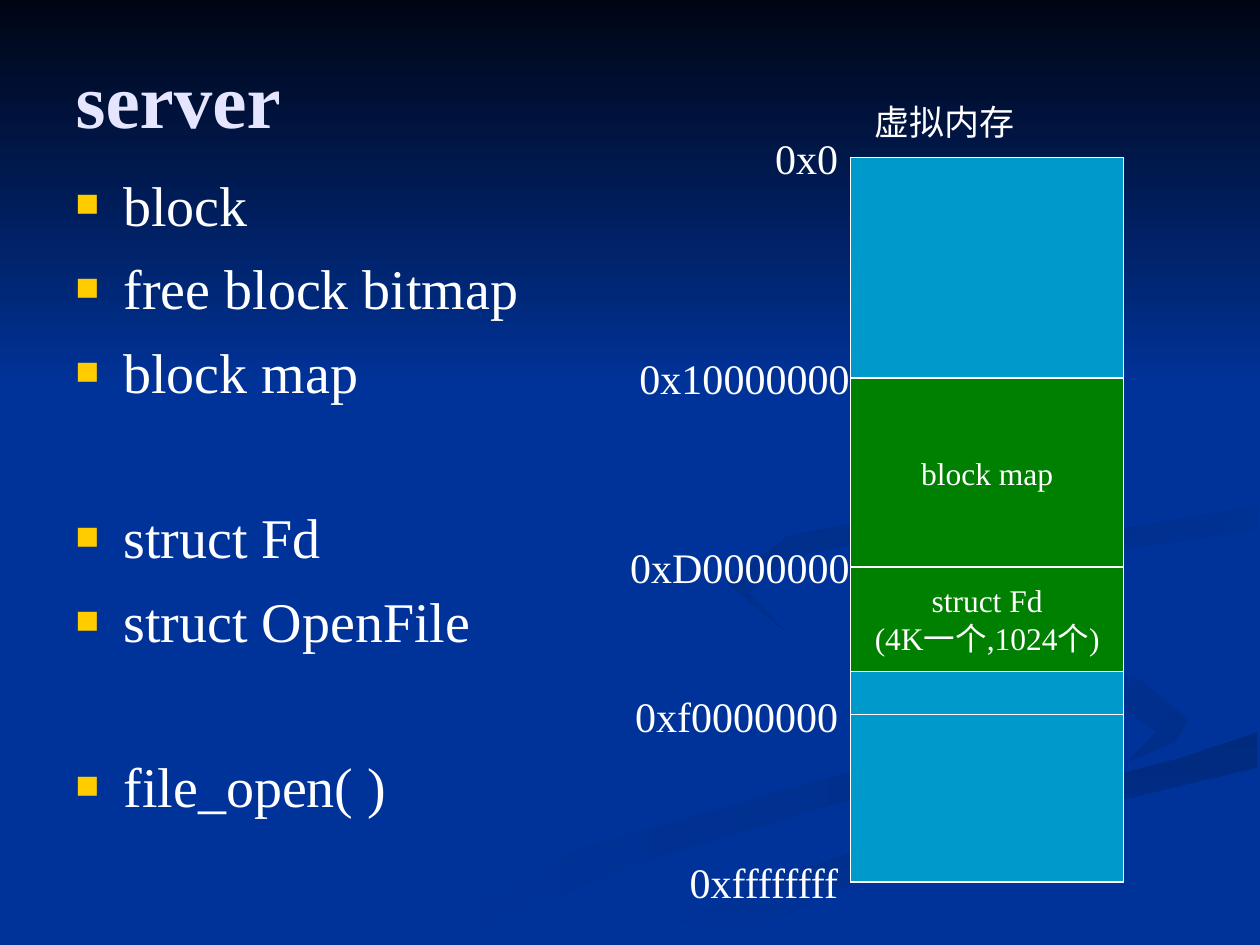
"""Build the server slide: a topic list beside a virtual memory map."""
from lxml import etree
from pptx import Presentation
from pptx import util as u
from pptx.dml.color import RGBColor
from pptx.enum import shapes, text
from pptx.oxml import ns

FONT = "Times New Roman"
WHITE = "FFFFFF"
DEEP = "003399"


def paint(fill, colours, angle=0):
    """Fill with one colour, or with a gradient turned clockwise."""
    if isinstance(colours, str):
        fill.solid()
        fill.fore_color.rgb = RGBColor.from_string(colours)
        return
    fill.gradient()
    fill.gradient_angle = (360 - angle) % 360
    for stop, position, colour in zip(fill.gradient_stops, (0, 1), colours):
        stop.position = position
        stop.color.rgb = RGBColor.from_string(colour)


def write(frame, lines, size, colour=WHITE, align=text.PP_ALIGN.LEFT,
          anchor=text.MSO_ANCHOR.TOP, bold=False, wrap=True):
    """Write lines as paragraphs in one format."""
    frame.word_wrap = wrap
    frame.auto_size = text.MSO_AUTO_SIZE.NONE
    frame.vertical_anchor = anchor
    for index, line in enumerate(lines):
        para = frame.add_paragraph() if index else frame.paragraphs[0]
        para.alignment = align
        span = para.add_run()
        span.text = line
        span.font.name = FONT
        span.font.size = u.Pt(size)
        span.font.bold = bold
        paint(span.font.fill, colour)


deck = Presentation()
deck.slide_width, deck.slide_height = u.Inches(10), u.Inches(7.5)
page = deck.slides.add_slide(deck.slide_layouts[1])
paint(page.background.fill, DEEP)

swirls = [
    ((DEEP, "002E8B"), 0, [
        (781, 553), (786, 566), (759, 590), (616, 629), (458, 674), (300, 749),
        (361, 749), (499, 687), (676, 634), (786, 601), (800, 581)]),
    ((DEEP, "002E8B"), 45, [
        (943, 571), (905, 540), (774, 503), (724, 464), (746, 500), (868, 544),
        (918, 581), (894, 605), (932, 589)]),
    (("002A7D", DEEP), 90, [
        (503, 749), (571, 749), (695, 692), (821, 651), (998, 609), (998, 581),
        (936, 602), (764, 647), (630, 693)]),
    (("002D86", DEEP), 45, [
        (781, 460), (791, 478), (826, 496), (805, 476), (828, 453), (896, 435),
        (998, 420), (998, 402), (865, 424), (799, 442)]),
    (("002B82", DEEP), 45, [
        (683, 430), (825, 402), (889, 362), (890, 324), (843, 275), (762, 233),
        (846, 279), (889, 335), (861, 370), (763, 398), (625, 426), (577, 462),
        (622, 500), (593, 470), (624, 444)]),
]
for colours, angle, points in swirls:
    builder = page.shapes.build_freeform(*points[0], scale=u.Inches(0.01))
    builder.add_line_segments(points[1:], close=True)
    swirl = builder.convert_to_shape()
    swirl.shadow.inherit = False
    swirl.line.fill.background()
    paint(swirl.fill, colours, angle)

sky = page.shapes.add_shape(shapes.MSO_SHAPE.RECTANGLE, 0, 0, deck.slide_width, u.Inches(3.08))
sky.shadow.inherit = False
sky.line.fill.background()
paint(sky.fill, ("000514", DEEP), 90)

title, body = page.placeholders
for holder, place in ((title, (0.5, 0.3, 9, 0.95)), (body, (0.5, 1.25, 4.08, 5.92))):
    holder.left, holder.top, holder.width, holder.height = map(u.Inches, place)
    page.shapes.element.append(holder.element)
write(title.text_frame, ["server"], 44, "E5E5FF", anchor=text.MSO_ANCHOR.MIDDLE, bold=True)

topics = ["block", "free block bitmap", "block map", "struct Fd", "struct OpenFile", "file_open( )"]
group_starts = ("struct Fd", "file_open( )")
write(body.text_frame, topics, 32)
body.text_frame.margin_top = u.Inches(0.1)
for para in body.text_frame.paragraphs:
    properties = para._p.get_or_add_pPr()
    properties.set("marL", str(u.Inches(0.38)))
    properties.set("indent", str(u.Inches(-0.38)))
    colour = etree.SubElement(properties, ns.qn("a:buClr"))
    etree.SubElement(colour, ns.qn("a:srgbClr"), val="FFCC00")
    etree.SubElement(properties, ns.qn("a:buSzPct"), val="70000")
    etree.SubElement(properties, ns.qn("a:buFont"), typeface=FONT)
    etree.SubElement(properties, ns.qn("a:buChar"), char="■")
    para.space_before = u.Pt(55.8 if para.text in group_starts else 9.5)
body.text_frame.paragraphs[0].space_before = u.Pt(0)

regions = [
    (1.25, 7, "0099CC", []),
    (5.67, 7, "0099CC", []),
    (4.5, 5.33, "008000", ["struct Fd", "(4K一个,1024个)"]),
    (3, 4.5, "008000", ["block map"]),
]
for top, bottom, colour, lines in regions:
    region = page.shapes.add_shape(shapes.MSO_SHAPE.RECTANGLE, u.Inches(6.75), u.Inches(top),
                                   u.Inches(2.17), u.Inches(bottom - top))
    region.shadow.inherit = False
    paint(region.fill, colour)
    paint(region.line.fill, WHITE)
    region.line.width = u.Pt(0.75)
    write(region.text_frame, lines, 18, align=text.PP_ALIGN.CENTER,
          anchor=text.MSO_ANCHOR.MIDDLE, wrap=False)

addresses = [
    ("0x0", 6.75, 1),
    ("0x10000000", 6.84, 2.75),
    ("0xD0000000", 6.84, 4.25),
    ("0xf0000000", 6.75, 5.43),
    ("0xffffffff", 6.75, 6.75),
]
for address, right, top in addresses:
    box = page.shapes.add_textbox(u.Inches(right - 2.09), u.Inches(top), u.Inches(2.09), u.Inches(0.5))
    write(box.text_frame, [address], 24, align=text.PP_ALIGN.RIGHT)

heading = page.shapes.add_textbox(u.Inches(6.75), u.Inches(0.75), u.Inches(1.5), u.Inches(0.44))
write(heading.text_frame, ["虚拟内存"], 20, align=text.PP_ALIGN.CENTER)

deck.save("out.pptx")
